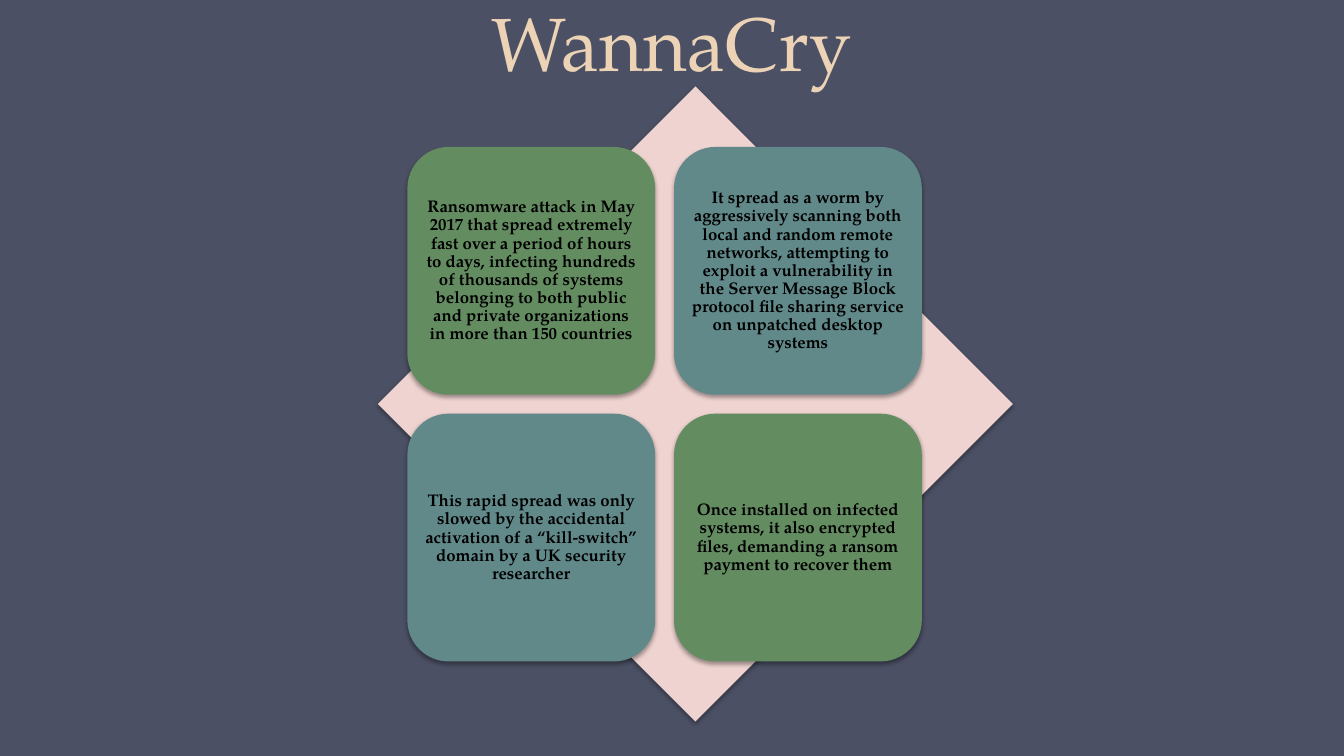
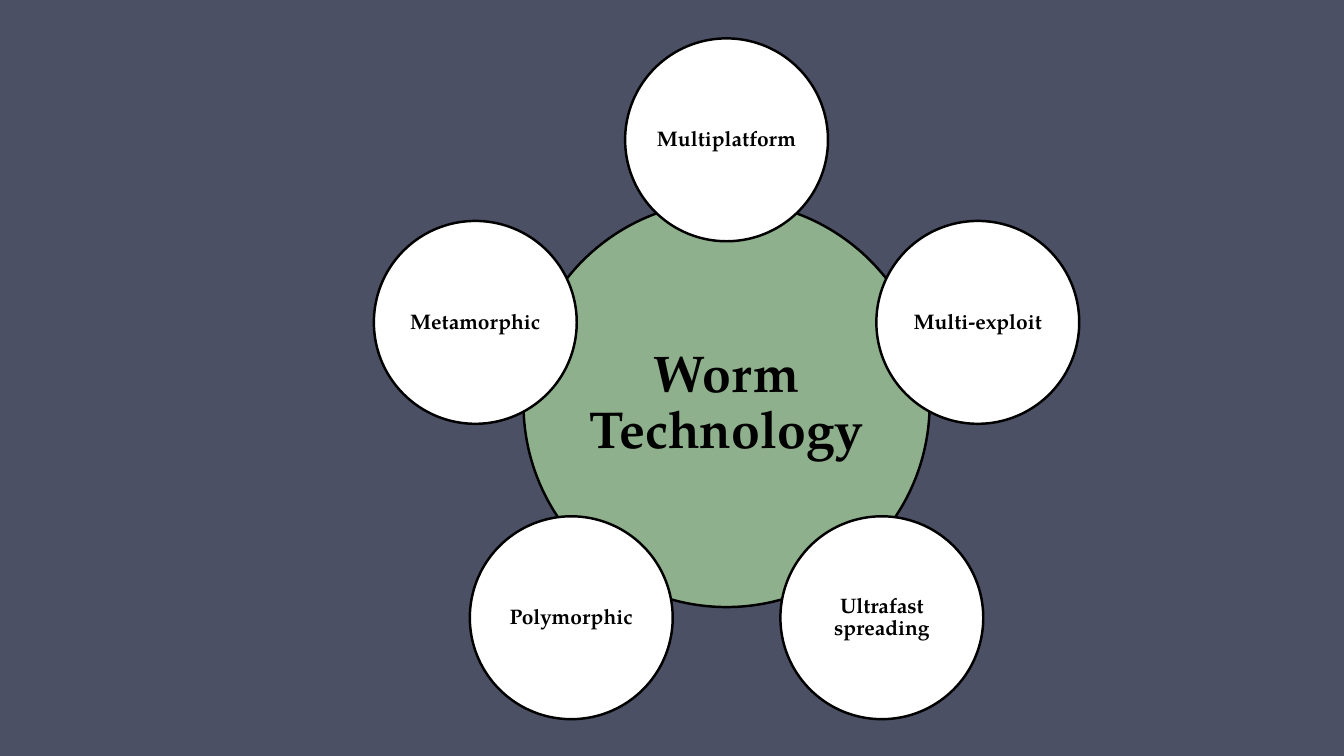
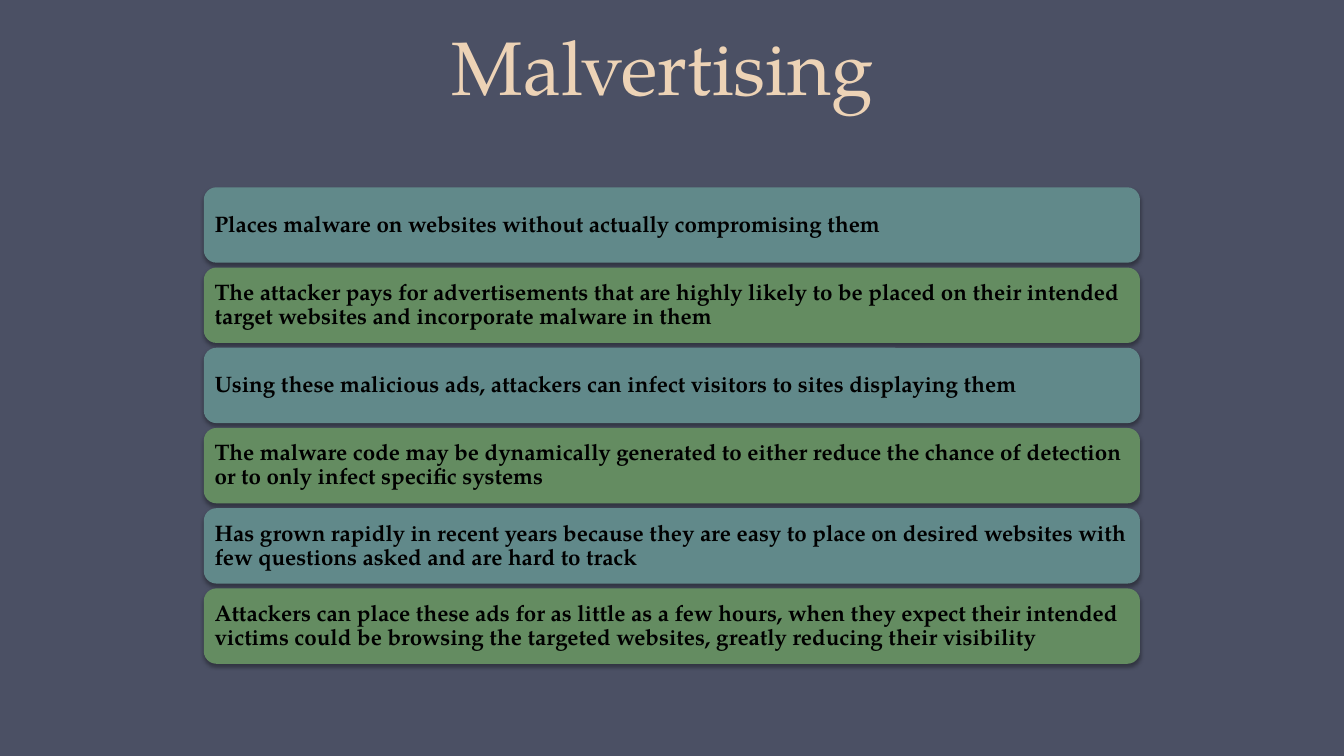
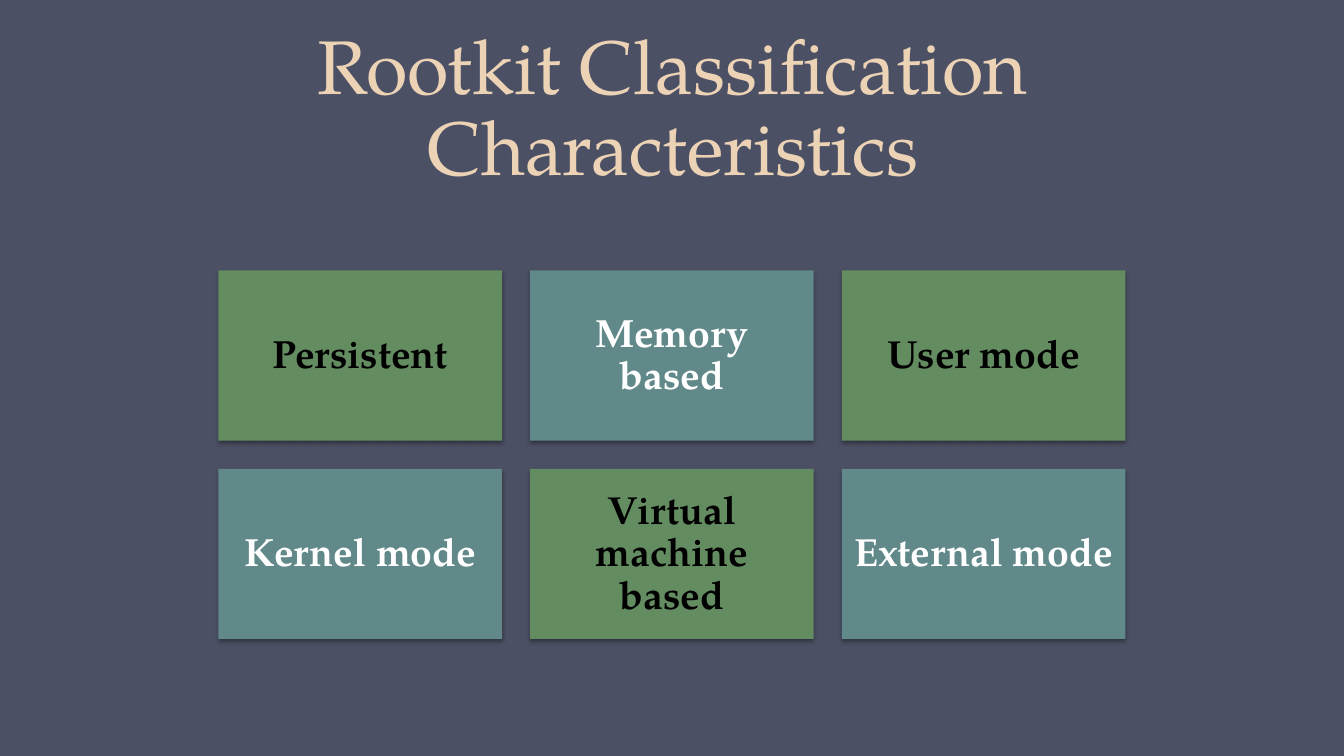
"""Build four malware slides on a grid of 160 by 90 square cells."""
from math import cos, radians, sin

from lxml.etree import SubElement
from pptx import Presentation
from pptx.dml.color import RGBColor
from pptx.enum.shapes import MSO_SHAPE
from pptx.enum.text import MSO_ANCHOR, PP_ALIGN
from pptx.oxml.ns import qn
from pptx.util import Inches, Pt

FONT = "TeX Gyre Pagella"
COLORS = {
    "background": "4B5064",
    "title": "EDD3B6",
    "diamond": "EED3D0",
    "green": "648C61",
    "teal": "61898A",
    "sage": "8FB08C",
    "white": "FFFFFF",
    "black": "000000",
}

deck = Presentation()
deck.slide_width, deck.slide_height = Inches(40 / 3), Inches(7.5)
cell = deck.slide_width / 160
blank = deck.slide_layouts[6]
background = deck.slide_master.background.fill
background.solid()
background.fore_color.rgb = RGBColor.from_string(COLORS["background"])


def write(box, text, size, color, inset, align=PP_ALIGN.CENTER,
          anchor=MSO_ANCHOR.MIDDLE, spacing=0.9, bold=True):
    """Fill a box with one paragraph of text."""
    frame = box.text_frame
    frame.word_wrap = True
    frame.vertical_anchor = anchor
    frame.margin_left = frame.margin_right = Inches(inset)
    frame.margin_top = frame.margin_bottom = Inches(inset)
    para = frame.paragraphs[0]
    para.alignment = align
    para.line_spacing = spacing
    span = para.add_run()
    span.text = text
    span.font.name = FONT
    span.font.size = Pt(size)
    span.font.bold = bold
    span.font.color.rgb = RGBColor.from_string(COLORS[color])


def add_box(page, kind, left, top, width, height, fill, outlined=False):
    """Add a shape placed in grid cells, with either an outline or a shadow."""
    box = page.shapes.add_shape(
        kind, *(round(length * cell) for length in (left, top, width, height)))
    box.shadow.inherit = False
    box.fill.solid()
    box.fill.fore_color.rgb = RGBColor.from_string(COLORS[fill])
    if outlined:
        box.line.color.rgb = RGBColor.from_string(COLORS["black"])
        box.line.width = Pt(1.75)
    else:
        box.line.fill.background()
        effects = box._element.spPr.find(qn("a:effectLst"))
        shadow = SubElement(effects, qn("a:outerShdw"), blurRad=str(Pt(3.1)),
                            dist=str(Pt(1.8)), dir="5400000", rotWithShape="0")
        tint = SubElement(shadow, qn("a:srgbClr"), val=COLORS["black"])
        SubElement(tint, qn("a:alpha"), val="35000")
    return box


titles = [
    ("WannaCry", 20, 120, 10.9),
    None,
    ("Malvertising", 24.9, 108, 13.8),
    ("Rootkit Classification Characteristics", 26.1, 108, 23.3),
]
pages = []
for title in titles:
    page = deck.slides.add_slide(blank)
    pages.append(page)
    if title:
        text, left, width, height = title
        box = page.shapes.add_textbox(
            round(left * cell), 0, round(width * cell), round(height * cell))
        write(box, text, 54, "title", 0.05, anchor=MSO_ANCHOR.BOTTOM,
              spacing=Pt(58), bold=False)
attack_page, worm_page, advert_page, rootkit_page = pages

attack_facts = [
    "Ransomware attack in May 2017 that spread extremely fast over a period of "
    "hours to days, infecting hundreds of thousands of systems belonging to both "
    "public and private organizations in more than 150 countries",
    "It spread as a worm by aggressively scanning both local and random remote "
    "networks, attempting to exploit a vulnerability in the Server Message Block "
    "protocol file sharing service on unpatched desktop systems",
    "This rapid spread was only slowed by the accidental activation of a "
    "“kill-switch” domain by a UK security researcher",
    "Once installed on infected systems, it also encrypted files, demanding a "
    "ransom payment to recover them",
]
add_box(attack_page, MSO_SHAPE.DIAMOND, 45, 10.3, 75.6, 75.6, "diamond")
for index, fact in enumerate(attack_facts):
    row, column = divmod(index, 2)
    fill = ("green", "teal")[(row + column) % 2]
    box = add_box(attack_page, MSO_SHAPE.ROUNDED_RECTANGLE, 48.5 + 31.75 * column,
                  17.5 + 31.75 * row, 29.5, 29.5, fill)
    write(box, fact, 12, "black", 0.05)

center_x, center_y, orbit = 86.5, 48.1, 31.45
hub, satellite = 48.35, 24.15
box = add_box(worm_page, MSO_SHAPE.OVAL, center_x - hub / 2, center_y - hub / 2,
              hub, hub, "sage", outlined=True)
write(box, "Worm Technology", 37, "black", 0.05)
worm_traits = ["Multiplatform", "Multi-exploit", "Ultrafast spreading",
               "Polymorphic", "Metamorphic"]
for index, trait in enumerate(worm_traits):
    angle = radians(index * 360 / len(worm_traits))
    box = add_box(worm_page, MSO_SHAPE.OVAL,
                  center_x + orbit * sin(angle) - satellite / 2,
                  center_y - orbit * cos(angle) - satellite / 2,
                  satellite, satellite, "white", outlined=True)
    write(box, trait, 15, "black", 0.02)

advert_facts = [
    "Places malware on websites without actually compromising them",
    "The attacker pays for advertisements that are highly likely to be placed on "
    "their intended target websites and incorporate malware in them",
    "Using these malicious ads, attackers can infect visitors to sites displaying "
    "them",
    "The malware code may be dynamically generated to either reduce the chance of "
    "detection or to only infect specific systems",
    "Has grown rapidly in recent years because they are easy to place on desired "
    "websites with few questions asked and are hard to track",
    "Attackers can place these ads for as little as a few hours, when they expect "
    "their intended victims could be browsing the targeted websites, greatly "
    "reducing their visibility",
]
for row, fact in enumerate(advert_facts):
    box = add_box(advert_page, MSO_SHAPE.ROUNDED_RECTANGLE, 24.27, 22.3 + 9.55 * row,
                  111.45, 8.97, ("teal", "green")[row % 2])
    write(box, fact, 16, "black", 0.07, align=PP_ALIGN.LEFT)

rootkit_classes = ["Persistent", "Memory based", "User mode",
                   "Kernel mode", "Virtual machine based", "External mode"]
for index, label in enumerate(rootkit_classes):
    row, column = divmod(index, 3)
    fill, color = (("green", "black"), ("teal", "white"))[index % 2]
    box = add_box(rootkit_page, MSO_SHAPE.RECTANGLE, 26 + 37.12 * column,
                  32.2 + 23.63 * row, 33.75, 20.25, fill)
    write(box, label, 28, color, 0.12)

deck.save("out.pptx")
